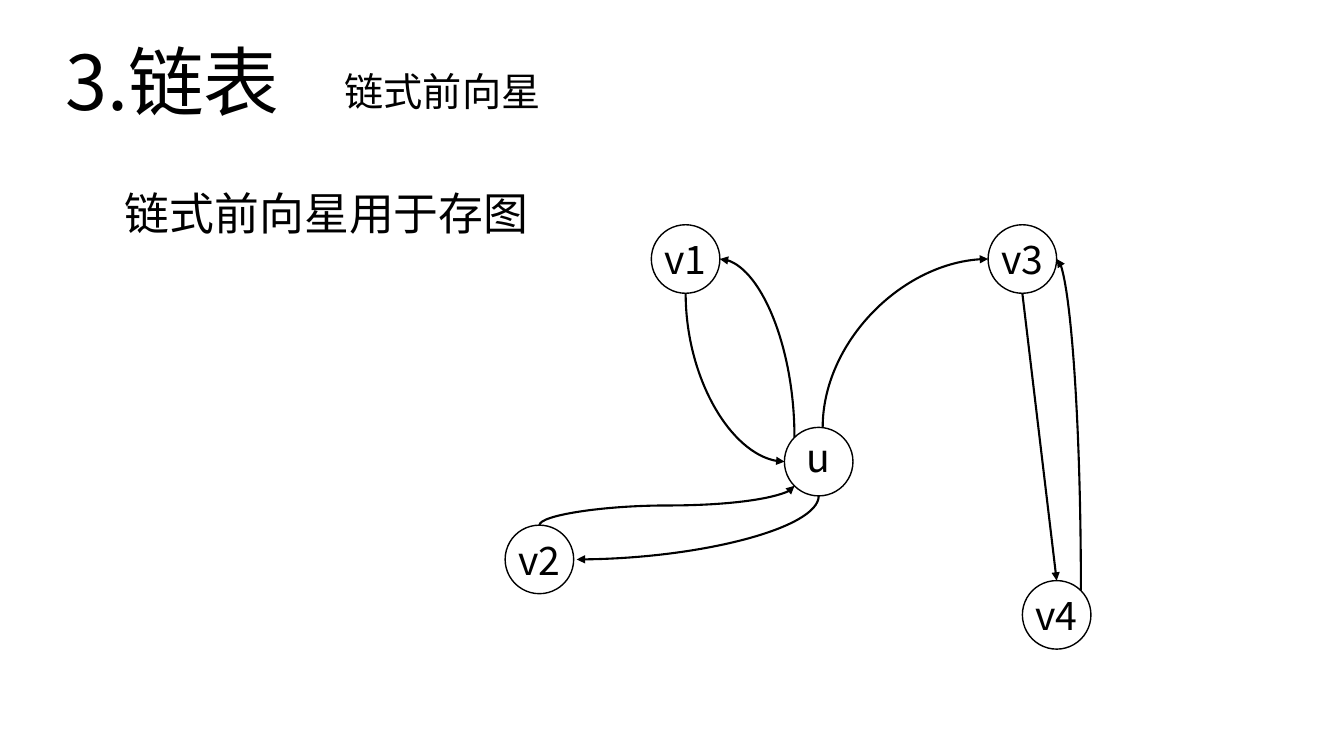
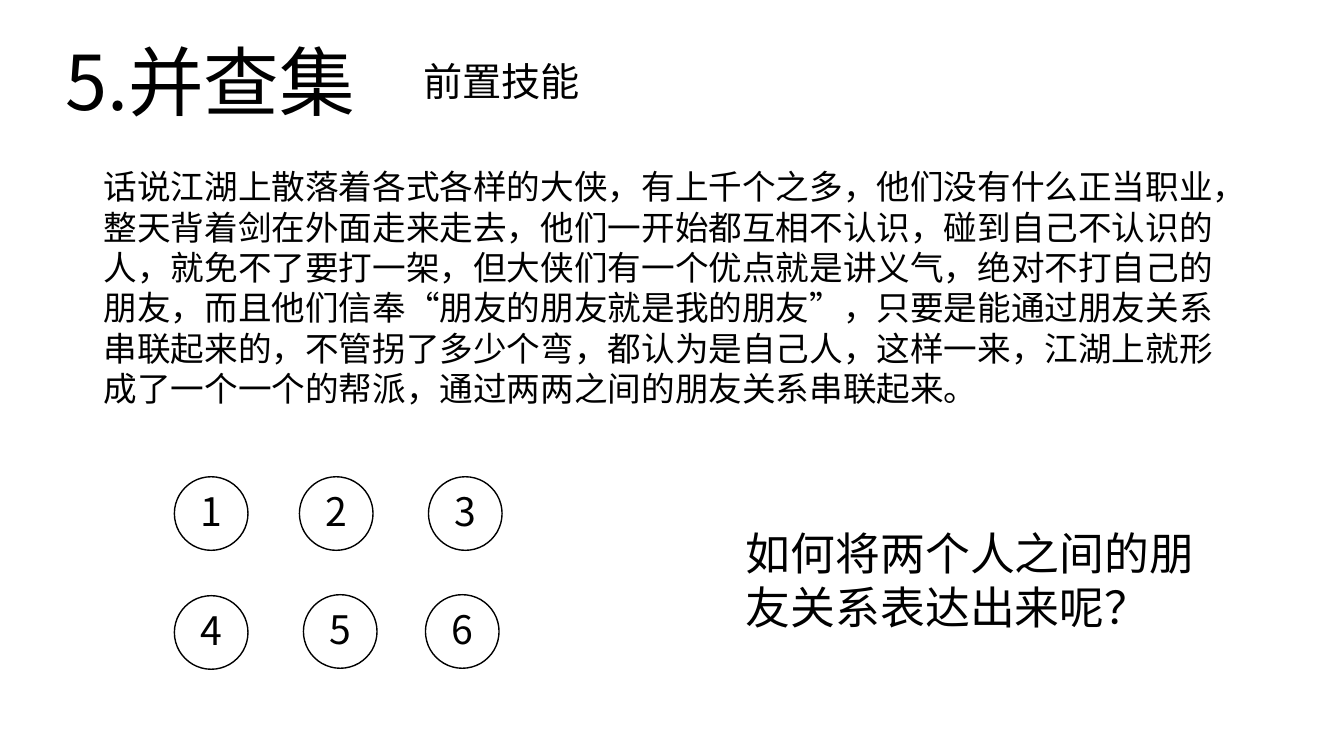
from math import cos, pi, sin

from lxml.etree import SubElement
from pptx import Presentation
from pptx.dml.color import RGBColor
from pptx.enum.shapes import MSO_CONNECTOR, MSO_SHAPE
from pptx.enum.text import MSO_ANCHOR, PP_ALIGN
from pptx.oxml.ns import qn
from pptx.util import Emu, Pt

BLACK = RGBColor(0, 0, 0)
WHITE = RGBColor(255, 255, 255)
FONT = "Noto Sans CJK SC"
UNIT = 9144
TOP, TOP_LEFT, LEFT, LOW_LEFT, LOW, LOW_RIGHT, RIGHT, TOP_RIGHT = range(8)


def px(size):
    """Turn a px length into EMU."""
    return Emu(round(size * UNIT))


class Deck:
    """Holds the style and the current slide."""

    def __init__(self):
        """Start an empty wide deck."""
        self.file = Presentation()
        self.file.slide_width = px(1333)
        self.file.slide_height = px(750)

    def page(self, title, wide):
        """Add a blank slide with its title."""
        slide = self.file.slides.add_slide(self.file.slide_layouts[6])
        slide.background.fill.solid()
        slide.background.fill.fore_color.rgb = WHITE
        self.shapes = slide.shapes
        self.text(title, 55, 30, wide, 101, 54)

    def style(self, frame, text, size):
        """Fill a frame with one formatted paragraph."""
        frame.text = text
        para = frame.paragraphs[0]
        para.line_spacing = Pt(round(size * 1.2, 1))
        for run in para.runs:
            run.font.size = Pt(size)
            run.font.color.rgb = BLACK
            run.font.name = FONT
            SubElement(run.font._element, qn("a:ea"), typeface=FONT)
        return para

    def text(self, text, left, top, wide, high, size=28):
        """Add a wrapping text box."""
        box = self.shapes.add_textbox(px(left), px(top), px(wide), px(high))
        box.text_frame.word_wrap = True
        self.style(box.text_frame, text, size)

    def node(self, text, left, top, size, lift=0):
        """Add a labelled circle, its label raised by lift."""
        node = self.shapes.add_shape(
            MSO_SHAPE.FLOWCHART_CONNECTOR, px(left), px(top), px(size), px(size))
        node.shadow.inherit = False
        node.fill.solid()
        node.fill.fore_color.rgb = WHITE
        node.line.color.rgb = BLACK
        node.line.width = Pt(1)
        frame = node.text_frame
        frame.word_wrap = False
        frame.vertical_anchor = MSO_ANCHOR.MIDDLE
        frame.margin_left = frame.margin_right = frame.margin_top = 0
        frame.margin_bottom = px(2 * lift)
        self.style(frame, text, 28).alignment = PP_ALIGN.CENTER
        return node

    def spot(self, end):
        """Find the point of a (node, site) or (x, y) end."""
        node, site = end
        if isinstance(node, int):
            return px(node), px(site)
        half, turn = node.width / 2, site * pi / 4
        return (Emu(round(node.left + half - half * sin(turn))),
                Emu(round(node.top + half - half * cos(turn))))

    def link(self, start, stop, kind=None):
        """Add an arrow, straight or of a curved kind leaving upright."""
        x1, y1 = self.spot(start)
        x2, y2 = self.spot(stop)
        if kind:
            line = self.curve(x1, y1, x2, y2, kind)
        else:
            line = self.shapes.add_connector(MSO_CONNECTOR.STRAIGHT, x1, y1, x2, y2)
        line.line.color.rgb = BLACK
        line.line.width = Pt(1.5)
        SubElement(line.line._get_or_add_ln(), qn("a:tailEnd"), type="triangle")
        SubElement(line.element.spPr, qn("a:effectLst"))
        joins = line.element.find(".//" + qn("p:cNvCxnSpPr"))
        for tag, (node, site) in (("a:stCxn", start), ("a:endCxn", stop)):
            if not isinstance(node, int):
                SubElement(joins, qn(tag), id=str(node.shape_id), idx=str(site))

    def curve(self, x1, y1, x2, y2, kind):
        """Add a curved connector turned to leave its start upright."""
        dx, dy = x2 - x1, y2 - y1
        wide, high = abs(dy), abs(dx)
        left, top = (x1 + x2 - wide) // 2, (y1 + y2 - high) // 2
        line = self.shapes.add_connector(
            MSO_CONNECTOR.CURVE, left, top, left + wide, top + high)
        form = line.element.spPr.find(qn("a:xfrm"))
        form.set("rot", str((270 if dx * dy > 0 else 90) * 60000))
        form.set("flipH", str(int(dx > 0)))
        form.set("flipV", str(int(dy < 0)))
        line.element.spPr.find(qn("a:prstGeom")).set("prst", kind)
        return line


def graph(deck):
    """Build the linked star slide."""
    deck.page("3.链表", 288)
    deck.text("链式前向星", 332, 62, 405, 57)
    deck.text("链式前向星用于存图", 114, 179, 459, 64, 32)
    u = deck.node("u", 778, 424, 68, 5)
    v1 = deck.node("v1", 646, 223, 68)
    v2 = deck.node("v2", 501, 521, 68)
    v3 = deck.node("v3", 980, 223, 68)
    v4 = deck.node("v4", 1014, 576, 68)
    arc, wave = "curvedConnector2", "curvedConnector3"
    for start, stop, kind in (
        ((v1, LOW), (u, LEFT), arc),
        ((u, TOP_LEFT), (v1, RIGHT), arc),
        ((816, 424), (v3, LEFT), arc),
        ((u, LOW), (572, 555), arc),
        ((v2, TOP), (u, LOW_LEFT), wave),
        ((v4, TOP_RIGHT), (v3, RIGHT), arc),
        ((v3, LOW), (v4, TOP), None),
    ):
        deck.link(start, stop, kind)


def union(deck):
    """Build the disjoint set slide."""
    deck.page("5.并查集", 383)
    deck.text("前置技能", 410, 52, 353, 57)
    deck.text(
        "话说江湖上散落着各式各样的大侠，有上千个之多，他们没有什么正当职业，"
        "整天背着剑在外面走来走去，他们一开始都互相不认识，碰到自己不认识的人，"
        "就免不了要打一架，但大侠们有一个优点就是讲义气，绝对不打自己的朋友，"
        "而且他们信奉“朋友的朋友就是我的朋友”，只要是能通过朋友关系串联起来的，"
        "不管拐了多少个弯，都认为是自己人，这样一来，江湖上就形成了一个一个的帮派，"
        "通过两两之间的朋友关系串联起来。",
        93, 160, 1147, 252, 24)
    spots = ((173, 473), (297, 473), (425, 473), (173, 591), (301, 590), (422, 590))
    for rank, (left, top) in enumerate(spots, 1):
        deck.node(str(rank), left, top, 73, 3)
    deck.text("如何将两个人之间的朋友关系表达出来呢？", 730, 517, 496, 118, 32)


def main():
    """Build and save the deck."""
    deck = Deck()
    graph(deck)
    union(deck)
    deck.file.save("out.pptx")


if __name__ == "__main__":
    main()
